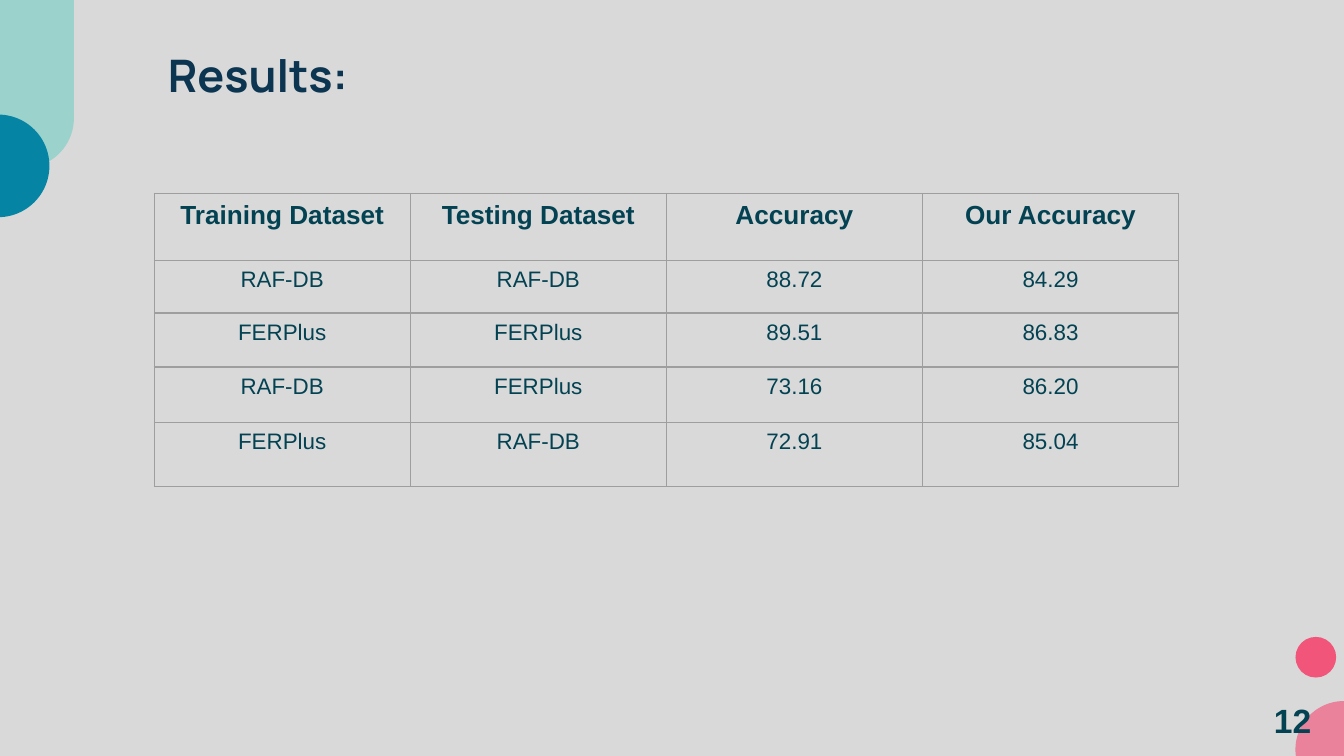
from lxml.etree import SubElement
from pptx import Presentation
from pptx.dml.color import RGBColor
from pptx.enum.shapes import MSO_SHAPE
from pptx.enum.text import MSO_ANCHOR, PP_ALIGN
from pptx.oxml.ns import qn
from pptx.util import Pt

GREY = RGBColor(0xD9, 0xD9, 0xD9)
BORDER = RGBColor(0x9E, 0x9E, 0x9E)
NAVY = RGBColor(0x0B, 0x35, 0x50)
TEAL = RGBColor(0x03, 0x42, 0x52)
MINT = RGBColor(0x74, 0xCE, 0xC4)
BLUE = RGBColor(0x05, 0x84, 0xA4)
PINK = RGBColor(0xF2, 0x55, 0x7A)

RESULTS = [
    ("Training Dataset", "Testing Dataset", "Accuracy", "Our Accuracy"),
    ("RAF-DB", "RAF-DB", "88.72", "84.29"),
    ("FERPlus", "FERPlus", "89.51", "86.83"),
    ("RAF-DB", "FERPlus", "73.16", "86.20"),
    ("FERPlus", "RAF-DB", "72.91", "85.04"),
]
ROW_HEIGHTS = [36, 28, 29, 29.5, 34.5]
TABLE_LEFT, TABLE_TOP, COLUMN_WIDTH = 82.6, 103.7, 137.2

DECORATIONS = [
    (MSO_SHAPE.OVAL, (694, 341.2, 21.8, 21.8), PINK, 100, []),
    (MSO_SHAPE.ROUNDED_RECTANGLE, (-13.7, -54, 53.3, 144), MINT, 61, [0.5]),
    (MSO_SHAPE.CHORD, (-28.5, 61.4, 55, 55), BLUE, 100, [162, 54]),
    (MSO_SHAPE.OVAL, (694, 375.6, 52, 52), PINK, 66, []),
]
TEXTS = [
    ("Results:", (82.8, 17.3, 121, 45.4), 7.2, MSO_ANCHOR.MIDDLE, ("Manrope", 24, NAVY, True)),
    ("12", (675.4, 371.5, 40.3, 29), 3.6, MSO_ANCHOR.TOP, ("Arial", 18, TEAL, True)),
]


def style(p, name, size, color, bold):
    for r in p.runs:
        r.font.name, r.font.size, r.font.bold = name, Pt(size), bold
        r.font.color.rgb = color


def add_decoration(s, kind, box, color, opacity, adjustments):
    sp = s.shapes.add_shape(kind, *map(Pt, box))
    sp.shadow.inherit = False
    sp.fill.solid()
    sp.fill.fore_color.rgb = color
    sp.line.fill.background()
    for i, value in enumerate(adjustments):
        sp.adjustments[i] = value
    if opacity < 100:
        clr = sp._element.spPr.find(f"{qn('a:solidFill')}/{qn('a:srgbClr')}")
        SubElement(clr, qn("a:alpha"), val=str(opacity * 1000))


def add_text(s, text, box, inset, anchor, font):
    tf = s.shapes.add_textbox(*map(Pt, box)).text_frame
    tf.word_wrap = True
    tf.vertical_anchor = anchor
    tf.margin_top = tf.margin_bottom = Pt(inset)
    tf.text = text
    style(tf.paragraphs[0], *font)


def add_borders(cell):
    tc_pr = cell._tc.get_or_add_tcPr()
    for i, side in enumerate(("lnL", "lnR", "lnT", "lnB")):
        ln = tc_pr.makeelement(qn(f"a:{side}"), {"w": str(Pt(0.75))})
        fill = SubElement(ln, qn("a:solidFill"))
        SubElement(fill, qn("a:srgbClr"), val=str(BORDER))
        tc_pr.insert(i, ln)


def add_results(s):
    rows, cols = len(RESULTS), len(RESULTS[0])
    box = (TABLE_LEFT, TABLE_TOP, COLUMN_WIDTH * cols, sum(ROW_HEIGHTS))
    table = s.shapes.add_table(rows, cols, *map(Pt, box)).table
    table.first_row = table.horz_banding = False
    for column in table.columns:
        column.width = Pt(COLUMN_WIDTH)
    for i, (values, height) in enumerate(zip(RESULTS, ROW_HEIGHTS)):
        table.rows[i].height = Pt(height)
        for j, value in enumerate(values):
            cell = table.cell(i, j)
            cell.fill.background()
            add_borders(cell)
            cell.text = value
            p = cell.text_frame.paragraphs[0]
            p.alignment = PP_ALIGN.CENTER
            style(p, "Arial", 14 if i == 0 else 12, TEAL, i == 0)


def main():
    prs = Presentation()
    prs.slide_width, prs.slide_height = Pt(720), Pt(405)
    s = prs.slides.add_slide(prs.slide_layouts[6])
    s.background.fill.solid()
    s.background.fill.fore_color.rgb = GREY
    for decoration in DECORATIONS:
        add_decoration(s, *decoration)
    for text in TEXTS:
        add_text(s, *text)
    add_results(s)
    prs.save("out.pptx")


if __name__ == "__main__":
    main()
